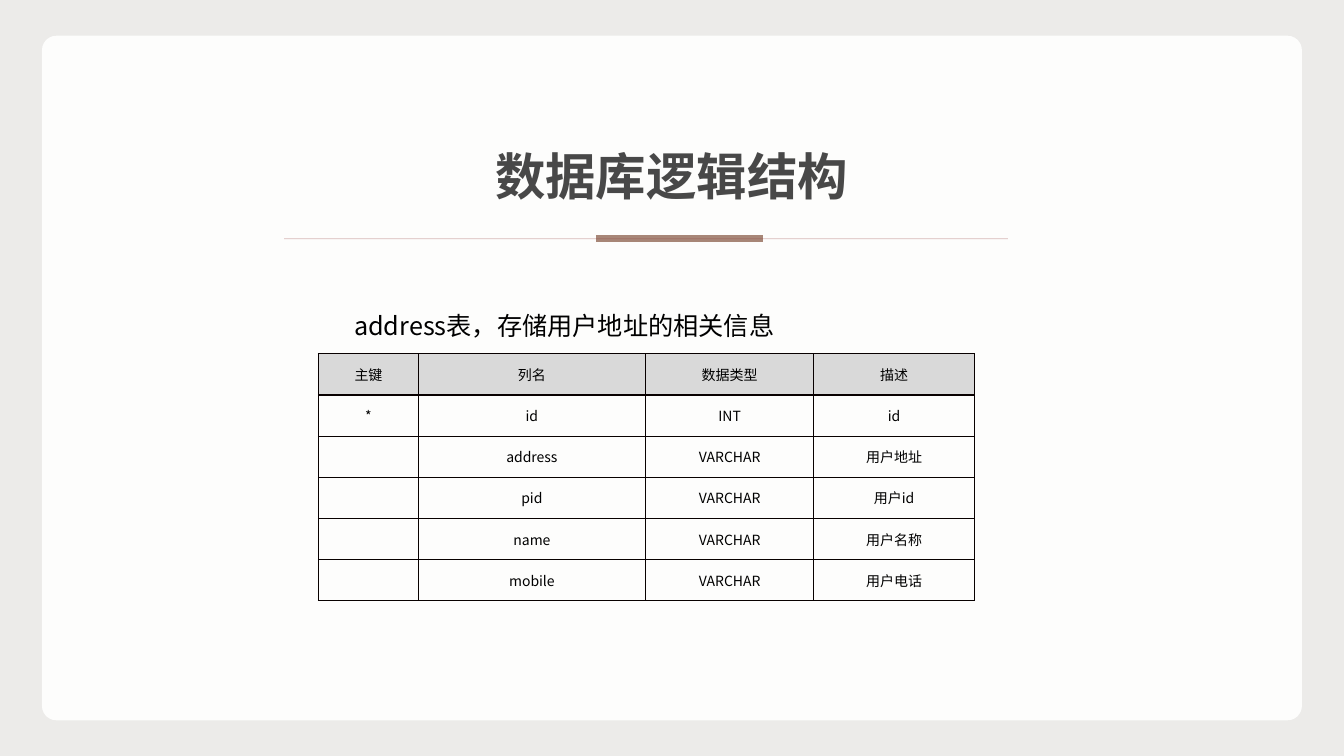
from lxml import etree
from pptx import Presentation
from pptx.dml.color import RGBColor
from pptx.enum.shapes import MSO_CONNECTOR, MSO_SHAPE
from pptx.enum.text import MSO_ANCHOR, PP_ALIGN
from pptx.oxml.ns import qn
from pptx.util import Pt

STRAIGHT = MSO_CONNECTOR.STRAIGHT
ROUNDED = MSO_SHAPE.ROUNDED_RECTANGLE
MIDDLE = MSO_ANCHOR.MIDDLE
CENTER, JUSTIFY = PP_ALIGN.CENTER, PP_ALIGN.JUSTIFY

BACKDROP = RGBColor(0xEC, 0xEB, 0xE9)
WHITE = RGBColor(0xFF, 0xFF, 0xFF)
BLACK = RGBColor(0, 0, 0)
CHARCOAL = RGBColor(0x35, 0x35, 0x35)
CLAY = RGBColor(0xA7, 0x86, 0x77)
WINE = RGBColor(0x96, 0x45, 0x44)
HEADER_GREY = RGBColor(0xD9, 0xD9, 0xD9)
BORDER = RGBColor(0x08, 0, 0)
FONT = "Noto Sans CJK SC"

COLUMN_WIDTHS = (71.4, 162.1, 120.4, 114.6)
ROW_HEIGHT = 29.4
ADDRESS_ROWS = (
    ("主键", "列名", "数据类型", "描述"),
    ("*", "id", "INT", "id"),
    ("", "address", "VARCHAR", "用户地址"),
    ("", "pid", "VARCHAR", "用户id"),
    ("", "name", "VARCHAR", "用户名称"),
    ("", "mobile", "VARCHAR", "用户电话"),
)


class SlideBuilder:
    """Draws styled elements on one slide, measured in points."""

    def __init__(self, slide):
        self.slide = slide
        self.shapes = slide.shapes
        self.cell_format = {
            "vertical_anchor": MIDDLE,
            "margin_left": Pt(5),
            "margin_right": Pt(5),
            "margin_top": 0,
            "margin_bottom": 0,
        }

    def set_all(self, target, values):
        for key, value in values.items():
            setattr(target, key, value)

    def set_opacity(self, element, percent):
        for color in element.iter(qn("a:srgbClr")):
            etree.SubElement(color, qn("a:alpha"), val=str(percent * 1000))

    def background(self, color):
        fill = self.slide.background.fill
        fill.solid()
        fill.fore_color.rgb = color

    def panel(self, left, top, width, height, color, radius, opacity):
        panel = self.shapes.add_shape(ROUNDED, Pt(left), Pt(top), Pt(width), Pt(height))
        panel.adjustments[0] = radius
        panel.shadow.inherit = False
        panel.fill.solid()
        panel.fill.fore_color.rgb = color
        panel.line.fill.background()
        self.set_opacity(panel.element, opacity)

    def add_words(self, frame, words, size, color, alignment=CENTER, bold=False):
        paragraph = frame.paragraphs[0]
        paragraph.alignment = alignment
        self.set_all(paragraph.font, {"size": Pt(size), "name": FONT})
        if not words:
            return
        run = paragraph.add_run()
        run.text = words
        self.set_all(run.font, {"size": Pt(size), "name": FONT, "bold": bold})
        run.font.color.rgb = color
        etree.SubElement(run.font._element, qn("a:ea"), typeface=FONT)

    def title(self, words, left, top, width, height):
        title = self.shapes.title
        title.element.getparent().append(title.element)
        self.set_all(title, {"left": Pt(left), "top": Pt(top),
                             "width": Pt(width), "height": Pt(height)})
        self.set_all(title.text_frame, {"word_wrap": False, "vertical_anchor": MIDDLE})
        self.add_words(title.text_frame, words, 36, CHARCOAL, JUSTIFY, True)
        self.set_opacity(title.element, 90)

    def caption(self, words, left, top, width, height):
        caption = self.shapes.add_textbox(Pt(left), Pt(top), Pt(width), Pt(height))
        self.set_all(caption.text_frame, {"word_wrap": True, "vertical_anchor": MIDDLE})
        self.add_words(caption.text_frame, words, 18, BLACK)

    def rule(self, start, end, y, color, weight, opacity=100):
        rule = self.shapes.add_connector(STRAIGHT, Pt(start), Pt(y), Pt(end), Pt(y))
        rule.line.color.rgb = color
        rule.line.width = Pt(weight)
        etree.SubElement(rule.element.spPr, qn("a:effectLst"))
        if opacity < 100:
            self.set_opacity(rule.element, opacity)

    def border_cell(self, cell):
        properties = cell._tc.get_or_add_tcPr()
        for position, side in enumerate(("lnL", "lnR", "lnT", "lnB")):
            edge = etree.Element(qn(f"a:{side}"), w=str(Pt(1)))
            fill = etree.SubElement(edge, qn("a:solidFill"))
            etree.SubElement(fill, qn("a:srgbClr"), val=str(BORDER))
            properties.insert(position, edge)

    def table(self, rows, left, top, widths, row_height):
        frame = self.shapes.add_table(len(rows), len(widths), Pt(left), Pt(top),
                                      Pt(sum(widths)), Pt(row_height * len(rows)))
        table = frame.table
        self.set_all(table, {"first_row": False, "horz_banding": False})
        for column, width in zip(table.columns, widths):
            column.width = Pt(width)
        for row_index, values in enumerate(rows):
            table.rows[row_index].height = Pt(row_height)
            for column_index, words in enumerate(values):
                cell = table.cell(row_index, column_index)
                self.set_all(cell, self.cell_format)
                if row_index == 0:
                    cell.fill.solid()
                    cell.fill.fore_color.rgb = HEADER_GREY
                else:
                    cell.fill.background()
                self.add_words(cell.text_frame, words, 10, BLACK)
                self.border_cell(cell)


def main():
    deck = Presentation()
    deck.slide_width, deck.slide_height = Pt(960), Pt(540)
    builder = SlideBuilder(deck.slides.add_slide(deck.slide_layouts[5]))
    builder.background(BACKDROP)
    builder.panel(30, 25.5, 900, 489, WHITE, 0.021, 90)
    builder.title("数据库逻辑结构", 346.4, 100, 268, 50)
    builder.rule(426, 545, 170.5, CLAY, 5)
    builder.rule(203, 720, 170.5, WINE, 0.5, 36)
    builder.caption("address表，存储用户地址的相关信息", 203, 218, 400, 29)
    builder.table(ADDRESS_ROWS, 227.5, 252.7, COLUMN_WIDTHS, ROW_HEIGHT)
    deck.save("out.pptx")


if __name__ == "__main__":
    main()
